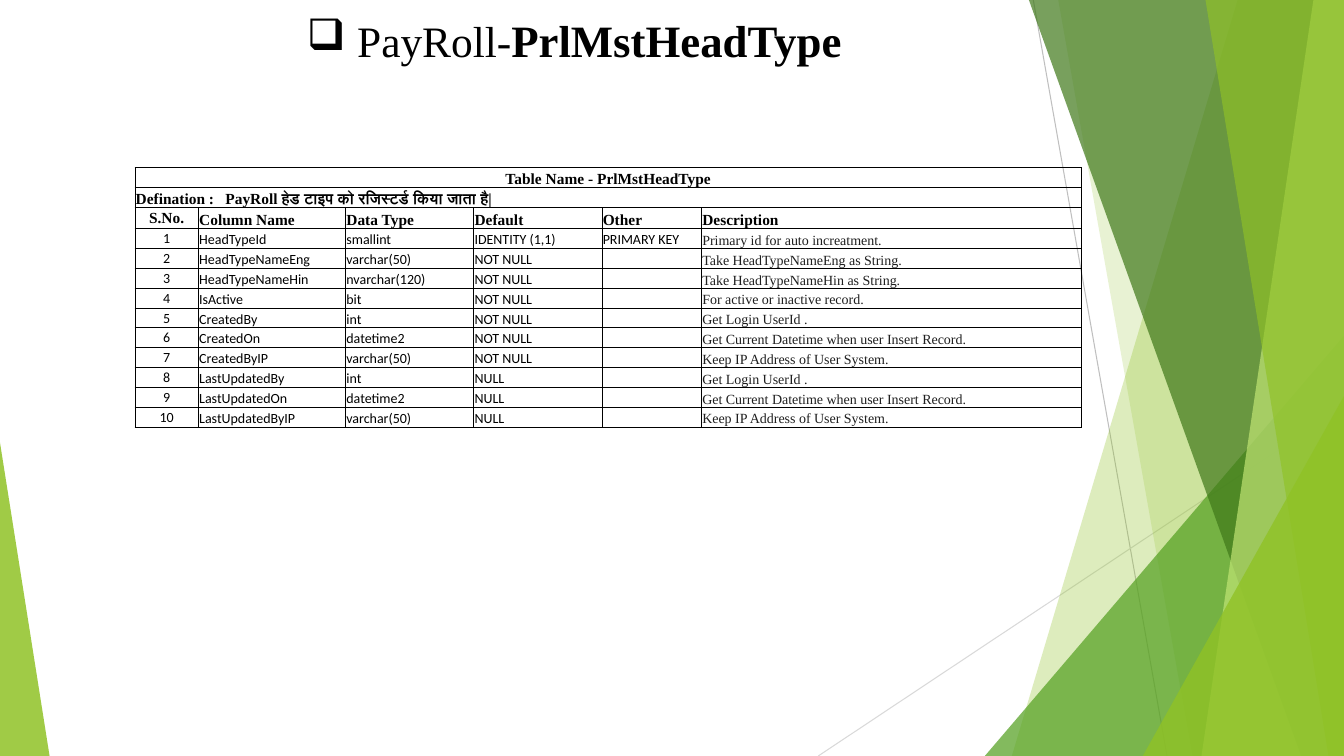
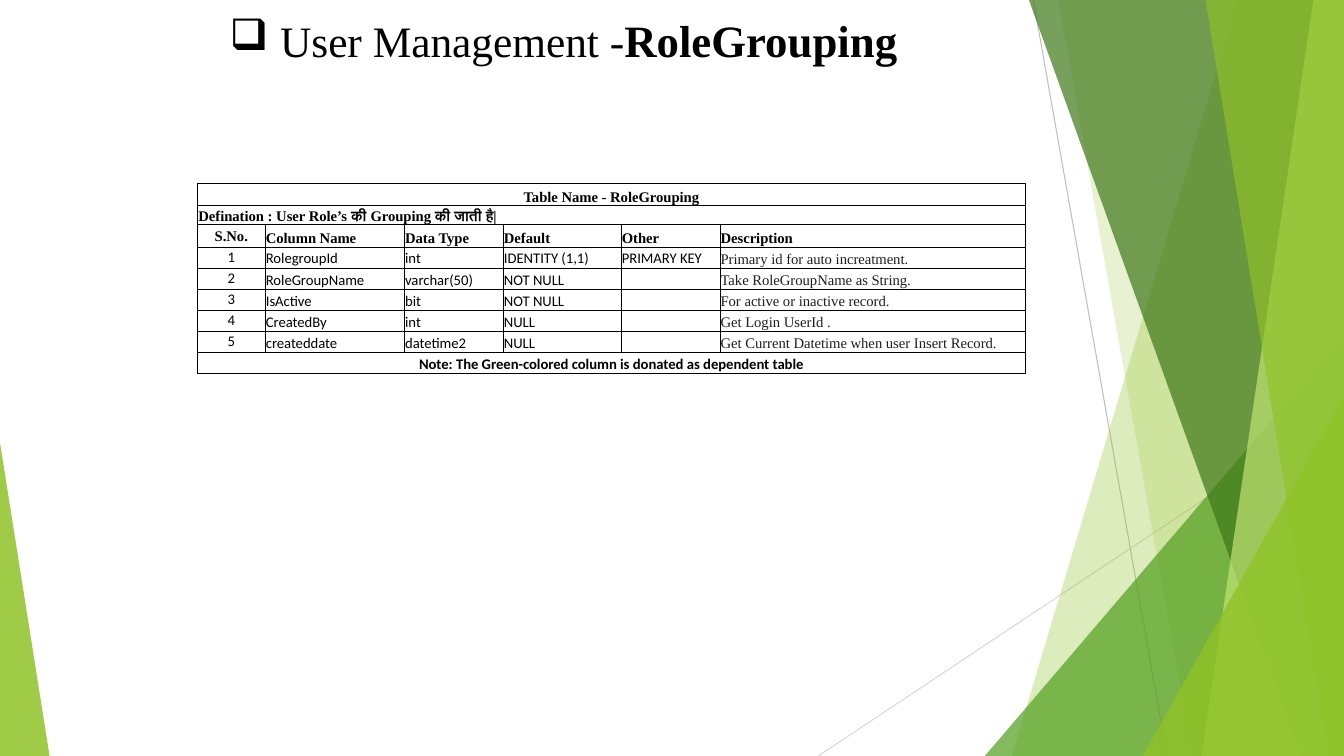
"""Build two slides that describe the PrlMstHeadType and RoleGrouping database tables."""
import dataclasses

import lxml.etree
import pptx
import pptx.dml.color
import pptx.enum.shapes
import pptx.enum.text
import pptx.oxml.ns
import pptx.util

Cm, Pt = pptx.util.Cm, pptx.util.Pt
RGB = pptx.dml.color.RGBColor.from_string
ALIGN, ANCHOR = pptx.enum.text.PP_ALIGN, pptx.enum.text.MSO_ANCHOR


@dataclasses.dataclass(frozen=True)
class Theme:
    serif: str = "Times New Roman"
    sans: str = "Calibri"
    ink: str = "000000"
    description: str = "1F1F1F"
    lime: str = "90C226"
    pale_lime: str = "C0E474"
    green: str = "54A021"
    forest: str = "3F7819"
    dark_ray: str = "BFBFBF"
    light_ray: str = "D9D9D9"
    title_module: float = 31
    title_table: float = 32
    ray_width: float = 0.75
    border_width: float = 0.5


def add_xml(parent, tag, **attributes):
    values = {key: str(value) for key, value in attributes.items()}
    return lxml.etree.SubElement(parent, pptx.oxml.ns.qn(tag), values)


def set_font(font, family, size, colour, bold):
    font.name, font.bold = family, bold
    font.size = Pt(size)
    font.color.rgb = RGB(colour)


theme = Theme()
WIDTH, HEIGHT = 33.87, 19.05
HEADINGS = ("S.No.", "Column Name", "Data Type", "Default", "Other", "Description")
TITLE_ROWS = 3

topics = [
    {
        "module": "PayRoll-", "table": "PrlMstHeadType", "title_left": 3.96,
        "definition": "Defination :\tPayRoll हेड टाइप को रजिस्टर्ड किया जाता है|",
        "left": 3.4, "top": 4.22,
        "widths": (1.6, 3.71, 3.23, 3.23, 2.51, 9.58),
        "title_heights": (0.51, 0.5, 0.53), "row_height": 0.5,
        "heading_size": 11, "body_size": 10,
        "fields": [
            ("HeadTypeId", "smallint", "IDENTITY (1,1)", "PRIMARY KEY", "Primary id for auto increatment."),
            ("HeadTypeNameEng", "varchar(50)", "NOT NULL", "", "Take HeadTypeNameEng as String."),
            ("HeadTypeNameHin", "nvarchar(120)", "NOT NULL", "", "Take HeadTypeNameHin as String."),
            ("IsActive", "bit", "NOT NULL", "", "For active or inactive record."),
            ("CreatedBy", "int", "NOT NULL", "", "Get Login UserId ."),
            ("CreatedOn", "datetime2", "NOT NULL", "", "Get Current Datetime when user Insert Record."),
            ("CreatedByIP", "varchar(50)", "NOT NULL", "", "Keep IP Address of User System."),
            ("LastUpdatedBy", "int", "NULL", "", "Get Login UserId ."),
            ("LastUpdatedOn", "datetime2", "NULL", "", "Get Current Datetime when user Insert Record."),
            ("LastUpdatedByIP", "varchar(50)", "NULL", "", "Keep IP Address of User System."),
        ],
        "notes": [],
    },
    {
        "module": "User Management -", "table": "RoleGrouping", "title_left": 3.69,
        "definition": "Defination : User Role’s की Grouping की जाती है|",
        "left": 4.98, "top": 4.62,
        "widths": (1.7, 3.51, 2.49, 2.97, 2.49, 7.7),
        "title_heights": (0.56, 0.48, 0.56), "row_height": 0.53,
        "heading_size": 10.5, "body_size": 10.5,
        "fields": [
            ("RolegroupId", "int", "IDENTITY (1,1)", "PRIMARY KEY", "Primary id for auto increatment."),
            ("RoleGroupName", "varchar(50)", "NOT NULL", "", "Take RoleGroupName as String."),
            ("IsActive", "bit", "NOT NULL", "", "For active or inactive record."),
            ("CreatedBy", "int", "NULL", "", "Get Login UserId ."),
            ("createddate", "datetime2", "NULL", "", "Get Current Datetime when user Insert Record."),
        ],
        "notes": ["Note: The Green-colored column is donated as dependent table"],
    },
]

deck = pptx.Presentation()
deck.slide_width, deck.slide_height = Cm(WIDTH), Cm(HEIGHT)
blank = deck.slide_layouts[6]
for placeholder in list(blank.placeholders):
    blank.shapes.element.remove(placeholder.element)
slides = [deck.slides.add_slide(blank) for _ in topics]

backdrop = slides[0].shapes
rays = [
    (26.04, 0, 29.41, HEIGHT, theme.dark_ray),
    (WIDTH, 10.24, 20.62, HEIGHT, theme.light_ray),
]
for start_x, start_y, end_x, end_y, colour in rays:
    ray = backdrop.add_connector(
        pptx.enum.shapes.MSO_CONNECTOR.STRAIGHT, Cm(start_x), Cm(start_y), Cm(end_x), Cm(end_y))
    ray.line.color.rgb = RGB(colour)
    ray.line.width = Pt(theme.ray_width)
    add_xml(ray.element.spPr, "a:effectLst")

# slab: top and foot of the slanted edge; spike: left, right, top, apex
facets = [
    ("slab", (31.19, 25.5), theme.lime, 30),
    ("slab", (26.67, 30.05), theme.lime, 20),
    ("spike", (24.82, WIDTH, 8.46, 1), theme.green, 72),
    ("slab", (25.93, 32.79), theme.forest, 70),
    ("slab", (33.1, 30.28), theme.pale_lime, 70),
    ("slab", (30.38, 33.48), theme.lime, 65),
    ("spike", (28.8, WIDTH, 9.98, 1), theme.lime, 80),
    ("spike", (0, 1.25, 11.15, 0), theme.lime, 85),
]
for kind, geometry, colour, opacity in facets:
    if kind == "slab":
        head, foot = geometry
        outline = backdrop.build_freeform(Cm(head), 0)
        outline.add_line_segments(
            [(Cm(WIDTH), 0), (Cm(WIDTH), Cm(HEIGHT)), (Cm(foot), Cm(HEIGHT))], close=True)
        facet = outline.convert_to_shape()
    else:
        left, right, top, apex = geometry
        facet = backdrop.add_shape(
            pptx.enum.shapes.MSO_SHAPE.ISOSCELES_TRIANGLE,
            Cm(left), Cm(top), Cm(right - left), Cm(HEIGHT - top))
        facet.adjustments[0] = apex
    facet.shadow.inherit = False
    facet.line.fill.background()
    facet.fill.solid()
    facet.fill.fore_color.rgb = RGB(colour)
    tint = facet.element.spPr.find(".//" + pptx.oxml.ns.qn("a:srgbClr"))
    add_xml(tint, "a:alpha", val=opacity * 1000)

for part in list(backdrop):
    blank.shapes.element.append(part.element)

for slide, topic in zip(slides, topics):
    title = slide.shapes.add_textbox(Cm(topic["title_left"]), Cm(0.2), Cm(21.03), Cm(1.63)).text_frame
    title.word_wrap = True
    title.auto_size = pptx.enum.text.MSO_AUTO_SIZE.SHAPE_TO_FIT_TEXT
    heading = title.paragraphs[0]
    heading.alignment = ALIGN.CENTER
    settings = heading._p.get_or_add_pPr()
    settings.set("marL", str(Cm(1.27)))
    settings.set("indent", str(-Cm(1.27)))
    add_xml(settings, "a:buChar", char="❑")
    heading.font.name = theme.serif
    heading.font.color.rgb = RGB(theme.ink)
    for wording, size, bold in [
        (topic["module"], theme.title_module, False),
        (topic["table"], theme.title_table, True),
    ]:
        run = heading.add_run()
        run.text = wording
        run.font.size = Pt(size)
        run.font.bold = bold

    rows = [("Table Name - " + topic["table"],), (topic["definition"],), HEADINGS]
    rows += [(str(number), *field) for number, field in enumerate(topic["fields"], 1)]
    rows += [(note,) for note in topic["notes"]]
    heights = [*topic["title_heights"]] + [topic["row_height"]] * (len(rows) - TITLE_ROWS)

    schema = slide.shapes.add_table(
        len(rows), len(HEADINGS), Cm(topic["left"]), Cm(topic["top"]),
        Cm(sum(topic["widths"])), Cm(sum(heights))).table
    schema.first_row = schema.horz_banding = False
    for column, width in zip(schema.columns, topic["widths"]):
        column.width = Cm(width)

    for row_index, (row, height) in enumerate(zip(rows, heights)):
        schema.rows[row_index].height = Cm(height)
        spans = len(row) == 1
        in_title = row_index < TITLE_ROWS
        for column_index in range(len(HEADINGS)):
            cell = schema.cell(row_index, column_index)
            cell.margin_left = cell.margin_right = cell.margin_top = Cm(0.02)
            cell.margin_bottom = 0
            numbered = column_index == 0 and not spans
            cell.vertical_anchor = ANCHOR.MIDDLE if numbered else ANCHOR.BOTTOM
            for side in ("a:lnL", "a:lnR", "a:lnT", "a:lnB"):
                border = add_xml(cell._tc.get_or_add_tcPr(), side, w=Pt(theme.border_width))
                add_xml(add_xml(border, "a:solidFill"), "a:srgbClr", val=theme.ink)
            cell.fill.background()

            wording = row[column_index] if column_index < len(row) else ""
            entry = cell.text_frame.paragraphs[0]
            entry.text = wording
            centred = numbered or (spans and row_index != 1)
            entry.alignment = ALIGN.CENTER if centred else ALIGN.LEFT
            if "\t" in wording:
                stops = add_xml(entry._p.get_or_add_pPr(), "a:tabLst")
                add_xml(stops, "a:tab", pos=Cm(2.26), algn="l")
            described = column_index == len(HEADINGS) - 1 and not in_title
            size = topic["heading_size" if in_title else "body_size"]
            set_font(
                entry.font, theme.serif if in_title or described else theme.sans, size,
                theme.description if described else theme.ink, in_title or spans)
            if not wording:
                add_xml(entry._p, "a:endParaRPr", sz=int(size * 100))
        if spans:
            schema.cell(row_index, 0).merge(schema.cell(row_index, len(HEADINGS) - 1))

deck.save("out.pptx")
